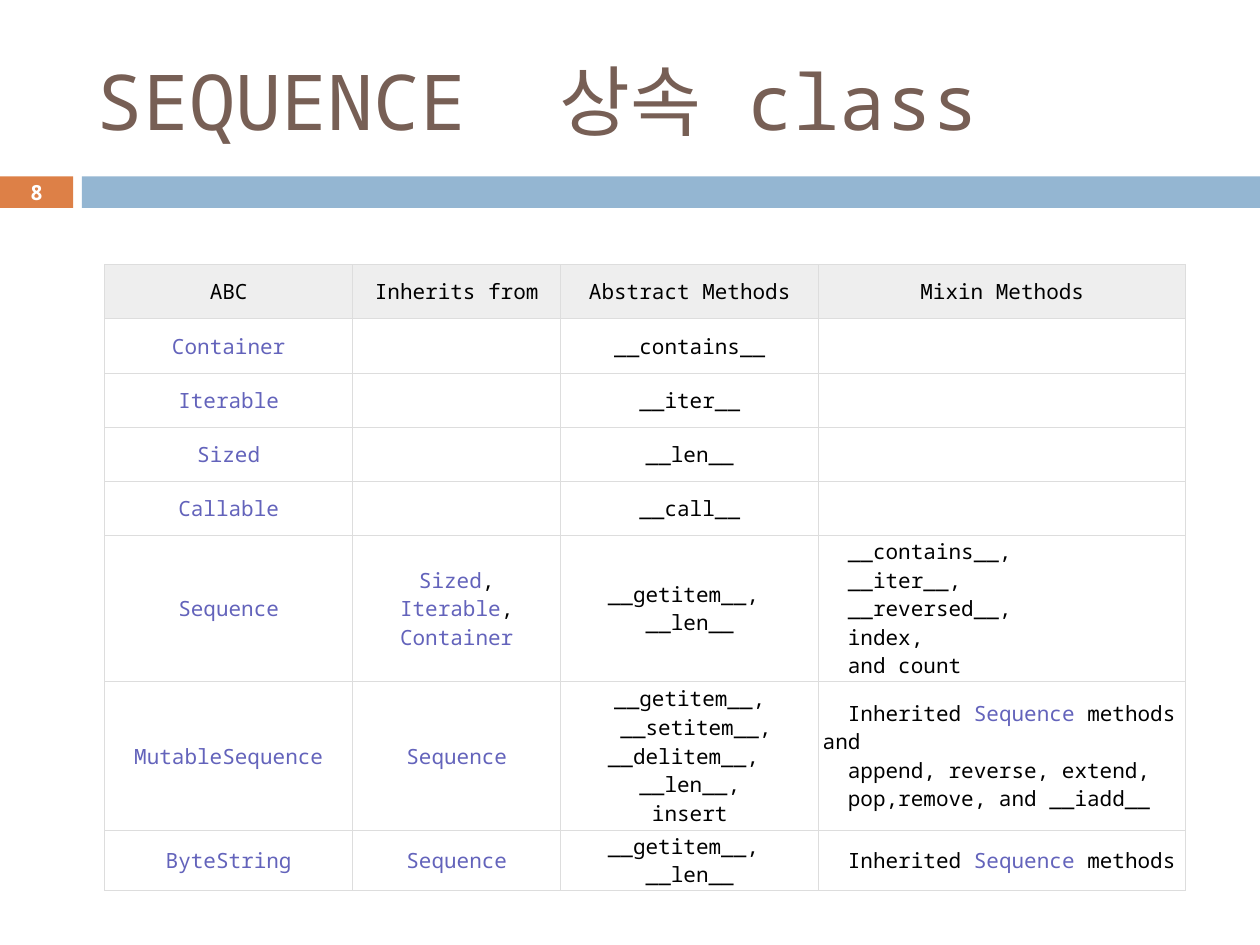
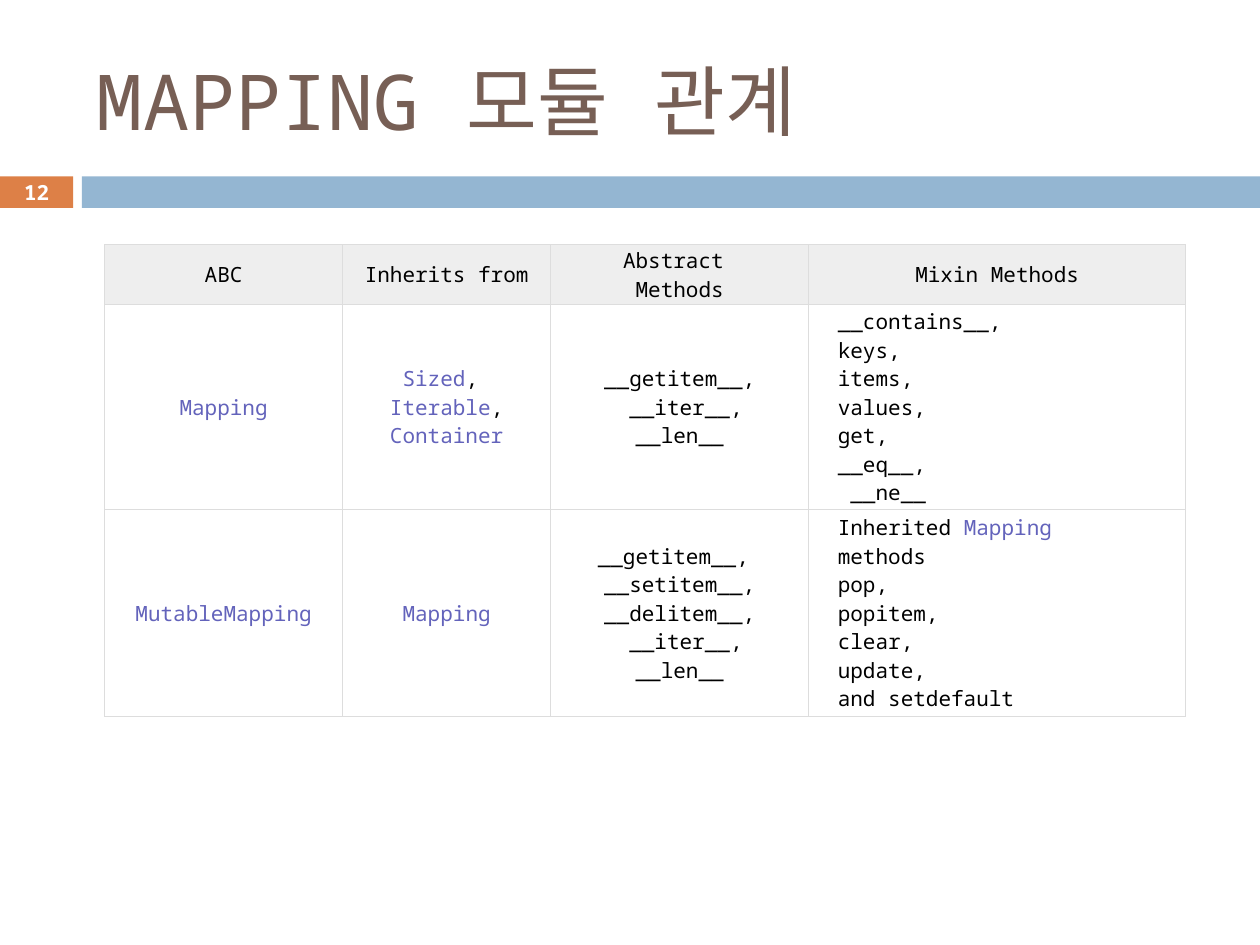
"""Two slides of tables on the abstract base classes of sequences and mappings."""
from lxml import etree
from pptx import Presentation
from pptx.dml.color import RGBColor
from pptx.enum.shapes import MSO_SHAPE
from pptx.enum.text import MSO_ANCHOR, PP_ALIGN
from pptx.oxml.ns import qn
from pptx.util import Inches, Pt

RECT = MSO_SHAPE.RECTANGLE
MIDDLE = MSO_ANCHOR.MIDDLE
LEFT, CENTER = PP_ALIGN.LEFT, PP_ALIGN.CENTER

FONT = "Noto Sans Mono"
COLORS = {
    "title": "775F55", "tab": "DD8047", "band": "94B6D2", "white": "FFFFFF",
    "head": "EEEEEE", "grid": "DDDDDD", "text": "000000", "link": "6363BB",
}
LINK, HARD = "|", "~"
MIXIN = 3
INDENT = Inches(0.2)

PARENTS = ["|Sized|,", "|Iterable|,", "|Container|"]
GET_LEN = ["__getitem__,~", "__len__"]

SLIDES = [
    {
        "title": "SEQUENCE  상속 class", "number": 8, "top": 2.1,
        "cols": [1.97, 1.65, 2.05, 2.91],
        "heights": [0.43] * 5 + [1.16, 1.18, 0.48],
        "rows": [
            [["ABC"], ["Inherits from"], ["Abstract Methods"], ["Mixin Methods"]],
            [["|Container|"], [], ["__contains__"], []],
            [["|Iterable|"], [], ["__iter__"], []],
            [["|Sized|"], [], ["__len__"], []],
            [["|Callable|"], [], ["__call__"], []],
            [["|Sequence|"], PARENTS, GET_LEN,
             ["__contains__,", "__iter__,", "__reversed__,", "index,", "and count"]],
            [["|MutableSequence|"], ["|Sequence|"],
             ["__getitem__,", "~__setitem__,", "__delitem__,~", "__len__,", "insert"],
             ["Inherited |Sequence| methods and", "append, reverse, extend,",
              "pop,remove, and __iadd__"]],
            [["|ByteString|"], ["|Sequence|"], GET_LEN,
             ["Inherited |Sequence| methods"]],
        ],
    },
    {
        "title": "MAPPING 모듈 관계", "number": 12, "top": 1.94,
        "cols": [1.89, 1.65, 2.05, 2.99],
        "heights": [0.48, 1.62, 1.65],
        "rows": [
            [["ABC"], ["Inherits from"], ["Abstract~", "Methods"], ["Mixin Methods"]],
            [["|Mapping|"], ["|Sized|,~"] + PARENTS[1:],
             ["__getitem__,", "~__iter__,", "__len__"],
             ["__contains__,", "keys,", "items,", "values,", "get,", "__eq__,",
              "~__ne__"]],
            [["|MutableMapping|"], ["|Mapping|"],
             ["__getitem__,~", "__setitem__,", "__delitem__,", "~__iter__,", "__len__"],
             ["Inherited |Mapping|", "methods", "pop,", "popitem,", "clear,",
              "update,", "and setdefault"]],
        ],
    },
]


def rgb(name):
    return RGBColor.from_string(COLORS[name])


def add_band(slide, left, width, color):
    band = slide.shapes.add_shape(
        RECT, Inches(left), Inches(1.4), Inches(width), Inches(0.25))
    band.shadow.inherit = False
    band.fill.solid()
    band.fill.fore_color.rgb = rgb(color)
    band.line.fill.background()


def add_run(para, text, size, color, bold=False):
    run = para.add_run()
    run.text = text
    font = run.font
    font.name, font.size, font.bold = FONT, Pt(size), bold
    font.color.rgb = rgb(color)
    etree.SubElement(run._r.get_or_add_rPr(), qn("a:ea"), typeface=FONT)


def add_label(slide, text, area, size, color, align=LEFT, bold=False):
    frame = slide.shapes.add_textbox(*map(Inches, area)).text_frame
    frame.word_wrap = True
    frame.vertical_anchor = MIDDLE
    para = frame.paragraphs[0]
    para.alignment = align
    add_run(para, text, size, color, bold)


def add_grid(cell):
    props = cell._tc.get_or_add_tcPr()
    for side in ("lnL", "lnR", "lnT", "lnB"):
        line = etree.SubElement(props, qn("a:" + side), w=str(Pt(0.6)))
        fill = etree.SubElement(line, qn("a:solidFill"))
        etree.SubElement(fill, qn("a:srgbClr"), val=COLORS["grid"])


def write_line(para, text, mixed):
    para.alignment = LEFT if mixed else CENTER
    if mixed:
        props = para._p.get_or_add_pPr()
        props.set("marL", "0")
        props.set("indent", str(INDENT))
    for i, part in enumerate(text.replace(HARD, chr(160)).split(LINK)):
        if part:
            add_run(para, part, 12, "link" if i % 2 else "text")


def fill_cell(cell, lines, head, mixed):
    add_grid(cell)
    cell.fill.solid()
    cell.fill.fore_color.rgb = rgb("head" if head else "white")
    cell.vertical_anchor = MIDDLE
    cell.margin_left = cell.margin_right = Inches(0.03)
    cell.margin_top = cell.margin_bottom = Inches(0.01)
    frame = cell.text_frame
    for i, text in enumerate(lines):
        para = frame.add_paragraph() if i else frame.paragraphs[0]
        write_line(para, text, mixed)


def add_grid_table(slide, data):
    cols, heights = data["cols"], data["heights"]
    table = slide.shapes.add_table(
        len(heights), len(cols), Inches(0.83), Inches(data["top"]),
        Inches(sum(cols)), Inches(sum(heights))).table
    table.horz_banding = table.first_row = False
    for col, width in zip(table.columns, cols):
        col.width = Inches(width)
    for r, (row, height) in enumerate(zip(data["rows"], heights)):
        table.rows[r].height = Inches(height)
        for c, lines in enumerate(row):
            fill_cell(table.cell(r, c), lines, r == 0, r > 0 and c == MIXIN)


def main():
    deck = Presentation()
    deck.slide_width, deck.slide_height = Inches(10), Inches(7.5)
    for data in SLIDES:
        slide = deck.slides.add_slide(deck.slide_layouts[6])
        add_band(slide, 0, 0.58, "tab")
        add_band(slide, 0.65, 9.35, "band")
        add_label(slide, data["title"], (0.67, 0.25, 8.92, 1.08), 44, "title")
        add_label(slide, str(data["number"]), (0, 1.39, 0.58, 0.27), 11.9,
                  "white", CENTER, True)
        add_grid_table(slide, data)
    deck.save("out.pptx")


if __name__ == "__main__":
    main()
